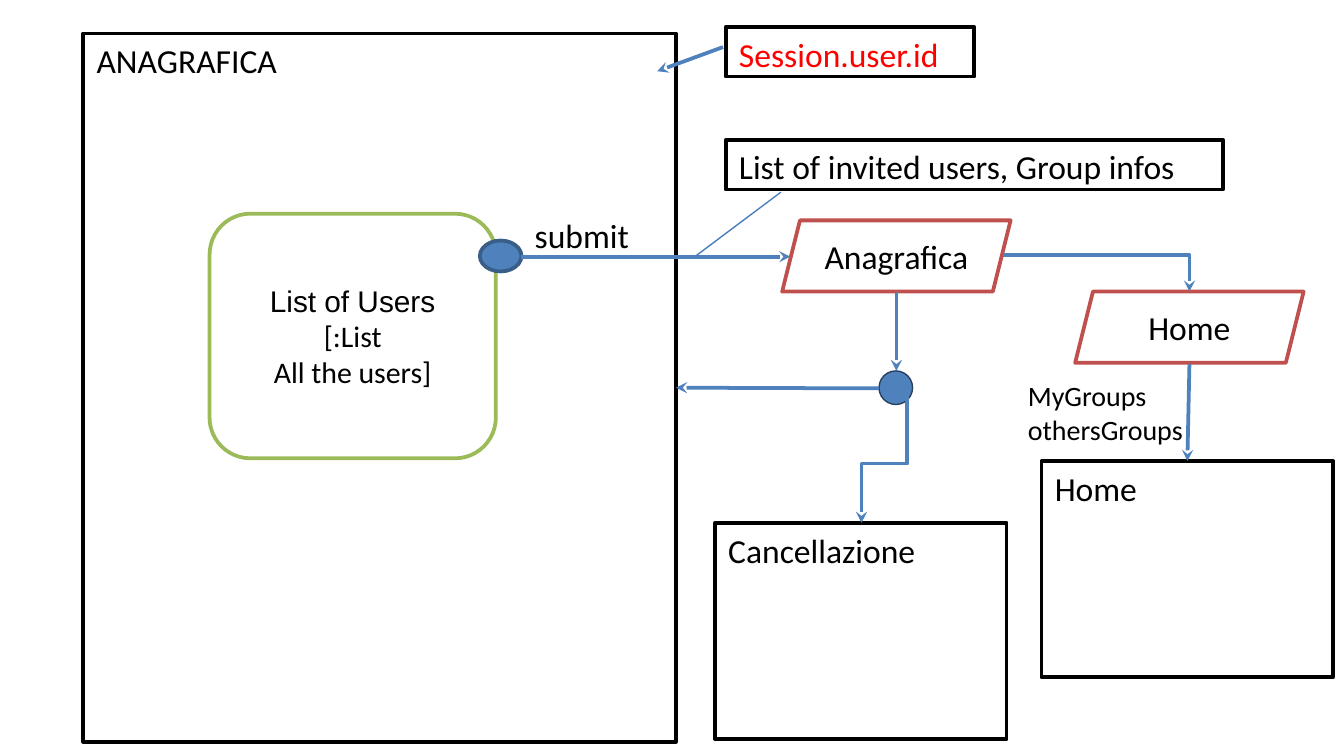
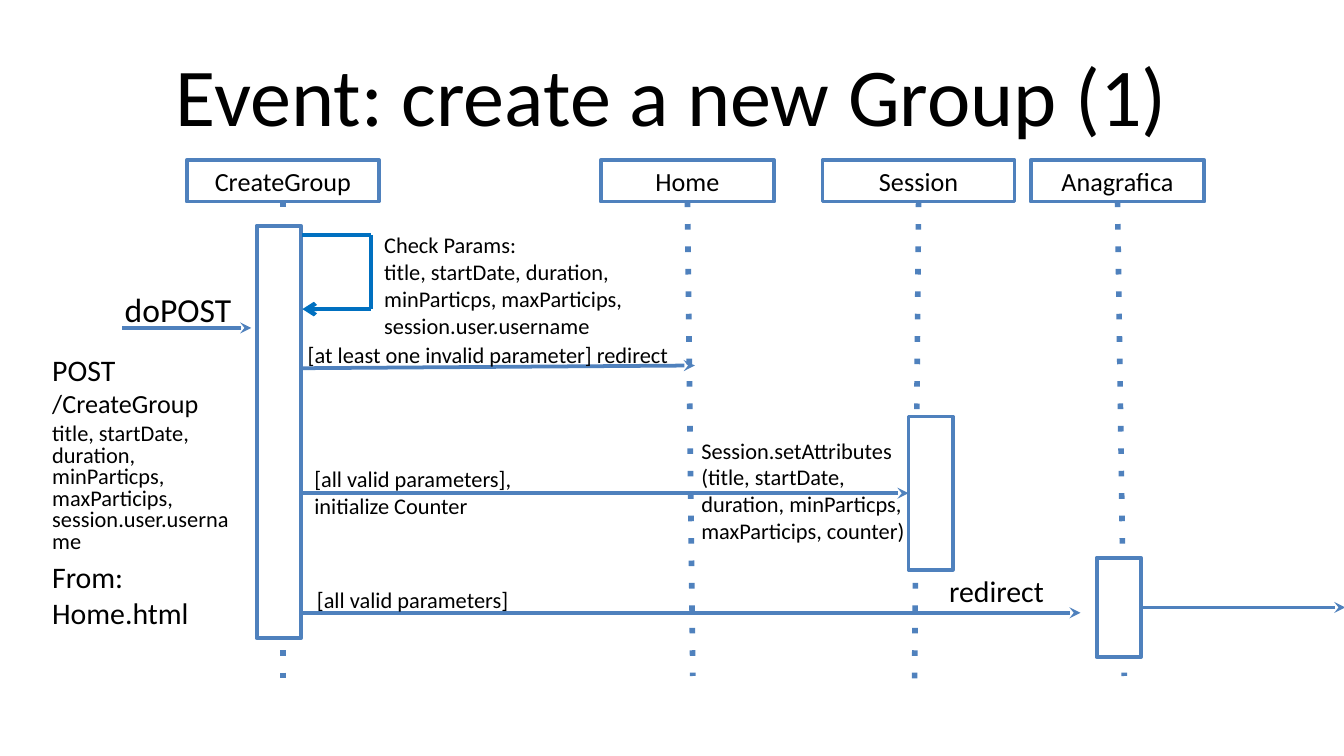
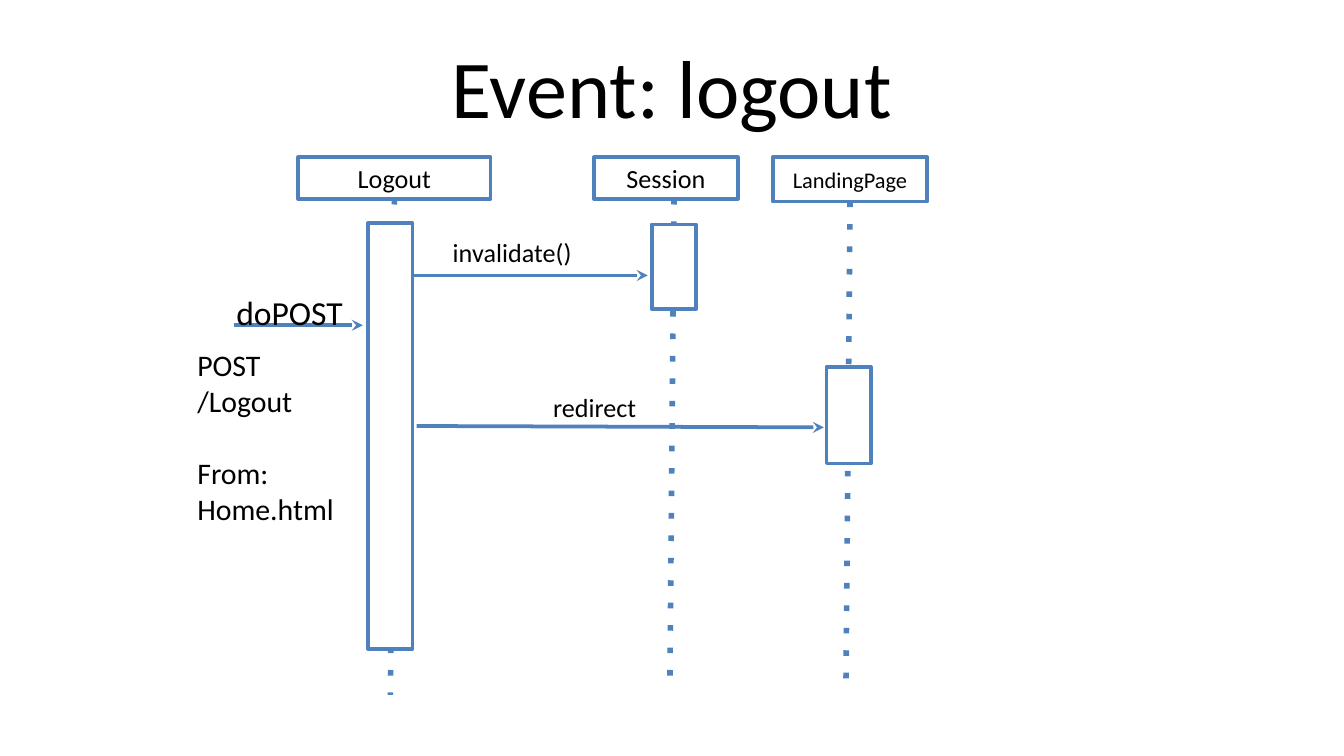
from lxml import etree
from pptx import Presentation
from pptx import util as u
from pptx.dml.color import RGBColor
from pptx.enum import shapes, text
from pptx.oxml.ns import qn

BLUE, NAVY, STEEL, SKY = "4F81BD", "395E89", "4A7DBA", "0070C0"
GREEN, RED, BLACK, WHITE = "9BBB59", "C0504D", "000000", "FFFFFF"
FONT = "Calibri"
BAR_W = 0.33
SHAPE = shapes.MSO_SHAPE
LINK = shapes.MSO_CONNECTOR
LEFT, CENTER = text.PP_ALIGN.LEFT, text.PP_ALIGN.CENTER
TOP, MIDDLE = text.MSO_ANCHOR.TOP, text.MSO_ANCHOR.MIDDLE
PARAMS = "title, startDate, duration, minParticps, maxParticips, session.user.username"


def rgb(value):
    return RGBColor.from_string(value)


def add_run(p, words, size, color=BLACK, font=FONT):
    r = p.add_run()
    r.text = words
    r.font.size = u.Pt(size)
    r.font.name = font
    r.font.color.rgb = rgb(color)


def write(tf, lines, size, color=BLACK, align=LEFT, anchor=TOP, inset=(0.1, 0.05)):
    tf.word_wrap = True
    tf.auto_size = text.MSO_AUTO_SIZE.NONE
    tf.vertical_anchor = anchor
    tf.margin_left = tf.margin_right = u.Inches(inset[0])
    tf.margin_top = tf.margin_bottom = u.Inches(inset[1])
    for i, line in enumerate(lines):
        p = tf.add_paragraph() if i else tf.paragraphs[0]
        p.alignment = align
        words, line_size = line if isinstance(line, tuple) else (line, size)
        add_run(p, words, line_size, color)


def add_text(slide, box, lines, size, **style):
    sp = slide.shapes.add_textbox(*map(u.Inches, box))
    write(sp.text_frame, lines, size, **style)
    return sp.text_frame


def add_box(slide, box, kind=SHAPE.RECTANGLE, fill=WHITE, line=BLUE, width=2):
    sp = slide.shapes.add_shape(kind, *map(u.Inches, box))
    sp.shadow.inherit = False
    sp.fill.solid()
    sp.fill.fore_color.rgb = rgb(fill)
    sp.line.color.rgb = rgb(line)
    sp.line.width = u.Pt(width)
    return sp


def add_line(slide, start, end, color=BLUE, width=2, head=None, dash=None,
             kind=LINK.STRAIGHT, begin=None, finish=None):
    cx = slide.shapes.add_connector(kind, *map(u.Inches, (*start, *end)))
    if begin:
        cx.begin_connect(*begin)
    if finish:
        cx.end_connect(*finish)
    cx.line.color.rgb = rgb(color)
    cx.line.width = u.Pt(width)
    ln = cx.line._get_or_add_ln()
    if dash:
        etree.SubElement(ln, qn("a:prstDash"), val=dash)
    if head:
        etree.SubElement(ln, qn("a:tailEnd"), type=head)
    etree.SubElement(cx._element.spPr, qn("a:effectLst"))
    return cx


def add_arrow(slide, start, end, **style):
    return add_line(slide, start, end, head="stealth", **style)


def arrow_right_then_down(slide, start, end):
    cx = add_arrow(slide, start, end, kind=LINK.ELBOW)
    cx._element.spPr.find(qn("a:prstGeom")).set("prst", "bentConnector2")


def arrow_down_left_down(slide, start, end, bend):
    across, down = start[0] - end[0], end[1] - start[1]
    mid_x, mid_y = (start[0] + end[0]) / 2, (start[1] + end[1]) / 2
    cx = add_arrow(slide, (mid_x - down / 2, mid_y - across / 2),
                   (mid_x + down / 2, mid_y + across / 2), kind=LINK.ELBOW)
    spPr = cx._element.spPr
    spPr.find(qn("a:xfrm")).set("rot", "5400000")
    guides = spPr.find(qn("a:prstGeom")).get_or_add_avLst()
    etree.SubElement(guides, qn("a:gd"), name="adj1", fmla=f"val {round(bend * 100000)}")


def add_title(slide, words, box):
    sp = slide.shapes.title
    sp.left, sp.top, sp.width, sp.height = map(u.Inches, box)
    write(sp.text_frame, [words], 44, align=CENTER, anchor=MIDDLE, inset=(0, 0))


def page(slide, box, name, color=BLACK):
    sp = add_box(slide, box, line=BLACK)
    write(sp.text_frame, [name], 18, color)
    return sp


def action(slide, left, top, name):
    sp = add_box(slide, (left, top, 1.7, 0.53), SHAPE.PARALLELOGRAM, line=RED)
    write(sp.text_frame, [name], 18, align=CENTER, anchor=MIDDLE)


def user_list(slide, box):
    left, top, width, _ = box
    sp = add_box(slide, box, SHAPE.ROUNDED_RECTANGLE, line=GREEN)
    write(sp.text_frame, [], 16, anchor=MIDDLE)
    p = sp.text_frame.paragraphs[0]
    p.alignment = CENTER
    add_run(p, "List of Users", 16, font="Arial")
    p.add_line_break()
    add_run(p, "[:List", 16)
    p = sp.text_frame.add_paragraph()
    p.alignment = CENTER
    add_run(p, "All the users]", 16)
    add_box(slide, (left + width - 0.12, top + 0.2, 0.31, 0.23), SHAPE.OVAL, BLUE, NAVY)


def participant(slide, box, name, foot, bar=None, size=14, shift=0):
    left, top, width, height = box
    head = add_box(slide, box)
    write(head.text_frame, [name], size, align=CENTER, anchor=MIDDLE)
    x, y = left + width / 2 + shift, top + height
    add_line(slide, (x, y), (x + foot[0], y + foot[1]), width=3, dash="dot",
             begin=None if shift else (head, 2))
    if bar:
        dx, dy, bar_height = bar
        return add_box(slide, (left + dx, top + dy, BAR_W, bar_height))


def request(slide, left, top, label_rise):
    add_arrow(slide, (left, top), (left + 0.96, top))
    add_text(slide, (left - 0.08, top - label_rise, 1, 0.3), ["doPOST"], 18)


def self_call(slide, left, top, width, height, lines):
    right, bottom = left + width, top + height
    add_line(slide, (left, top), (right, top), SKY, 2.25)
    add_line(slide, (right, top), (right, bottom), SKY, 2.25)
    add_line(slide, (right, bottom), (left, bottom), SKY, 2.25, head="arrow")
    tf = add_text(slide, (right, top - 0.08, 1.99, 0.77), [], 12)
    p = tf.paragraphs[0]
    add_run(p, lines[0], 12)
    p.add_line_break()
    add_run(p, lines[1], 12)


def navigation_slide(prs):
    slide = prs.slides.add_slide(prs.slide_layouts[6])
    registry = page(slide, (0.62, 0.25, 4.41, 5.27), "ANAGRAFICA")
    user_list(slide, (1.56, 1.59, 2.13, 1.82))
    add_arrow(slide, (3.88, 1.91), (5.88, 1.91))
    add_text(slide, (3.88, 1.55, 0.91, 0.3), ["submit"], 18)

    page(slide, (5.4, 1.04, 3.7, 0.37), "List of invited users, Group infos")
    add_line(slide, (5.81, 1.43), (5.17, 1.91), STEEL, 0.75)
    page(slide, (5.4, 0.2, 1.85, 0.37), "Session.user.id", "FF0000")
    add_arrow(slide, (5.38, 0.35), (4.89, 0.53))

    action(slide, 5.82, 1.64, "Anagrafica")
    add_arrow(slide, (6.67, 2.17), (6.67, 2.76))
    page(slide, (5.32, 3.89, 2.17, 1.61), "Cancellazione")
    add_box(slide, (6.54, 2.76, 0.25, 0.25), SHAPE.OVAL, BLUE, "254061", 0)
    add_arrow(slide, (6.54, 2.89), (5.03, 2.89), finish=(registry, 3))
    arrow_down_left_down(slide, (6.75, 2.89), (6.41, 3.89), 0.56)

    home = page(slide, (7.75, 3.43, 2.17, 1.61), "Home")
    action(slide, 8, 2.17, "Home")
    add_text(slide, (7.55, 2.77, 1.77, 0.7), ["MyGroups", "othersGroups"], 15)
    arrow_right_then_down(slide, (7.46, 1.9), (8.85, 2.17))
    add_arrow(slide, (8.85, 2.71), (8.84, 3.43), finish=(home, 0))


def create_group_slide(prs):
    slide = prs.slides.add_slide(prs.slide_layouts[5])
    add_title(slide, "Event: create a new Group (1)", (0.5, 0.23, 9, 0.93))
    top, height = 1.19, 0.31
    participant(slide, (1.39, top, 1.43, height), "CreateGroup", (0, 3.57), (0.52, 0.49, 3.07))
    session = participant(slide, (6.12, top, 1.43, height), "Session",
                          (-0.03, 3.57), (0.64, 1.91, 1.14))
    registry = participant(slide, (7.67, top, 1.29, height), "Anagrafica",
                           (0.05, 3.53), (0.49, 2.96, 0.74))
    participant(slide, (4.47, top, 1.29, height), "Home", (0.04, 3.53))

    request(slide, 0.91, 2.44, 0.34)
    tf = add_text(slide, (0.29, 2.57, 1.58, 2.49),
                  ["POST", ("/CreateGroup", 14), (PARAMS, 12), "From:", "Home.html"], 16)
    p = tf.paragraphs[2]
    p.line_spacing = 0.8
    p.space_before = p.space_after = u.Pt(2.8)

    self_call(slide, 2.25, 1.75, 0.51, 0.55, ("Check Params:", PARAMS))
    add_arrow(slide, (2.25, 2.74), (5.17, 2.72))
    add_arrow(slide, (2.24, 3.67), (6.76, 3.67), finish=(session, 1))
    add_arrow(slide, (2.24, 4.56), (8.04, 4.56))
    add_arrow(slide, (8.49, 4.52), (10.01, 4.52), begin=(registry, 3))
    add_text(slide, (2.29, 2.54, 3, 0.17), ["[at least one invalid parameter] redirect"], 12,
             inset=(0, 0))
    add_text(slide, (5.12, 3.2, 1.74, 1.1),
             ["Session.setAttributes",
              "(title, startDate, duration, minParticps, maxParticips, counter)"], 12)
    add_text(slide, (2.24, 3.41, 2.32, 0.43),
             ["[all valid parameters],", "initialize Counter"], 12)
    add_text(slide, (2.26, 4.31, 2.32, 0.27), ["[all valid parameters]"], 12)
    add_text(slide, (6.96, 4.21, 0.91, 0.27), ["redirect"], 16, align=CENTER)


def logout_slide(prs):
    slide = prs.slides.add_slide(prs.slide_layouts[5])
    add_title(slide, "Event: logout", (0.5, 0.23, 9, 0.82))
    top = 1.17
    participant(slide, (2.22, top, 1.43, 0.31), "Logout", (-0.03, 3.69), (0.52, 0.49, 3.17))
    participant(slide, (4.42, top, 1.07, 0.31), "Session", (-0.03, 3.57), (0.43, 0.5, 0.63),
                shift=0.06)
    participant(slide, (5.75, top, 1.15, 0.33), "LandingPage", (-0.03, 3.55),
                (0.4, 1.56, 0.72), size=12)

    request(slide, 1.74, 2.42, 0.3)
    tf = add_text(slide, (1.37, 2.53, 1.32, 2.3), ["POST", "/Logout", "From:", "Home.html"], 16)
    tf.paragraphs[2].space_before = u.Pt(19.5)

    add_arrow(slide, (3.07, 2.05), (4.82, 2.05))
    add_text(slide, (3.27, 1.71, 1.75, 0.25), ["invalidate()"], 14)
    add_arrow(slide, (3.1, 3.17), (6.13, 3.18))
    add_text(slide, (3.27, 2.86, 2.31, 0.27), ["redirect"], 14, align=CENTER)


def main():
    prs = Presentation()
    prs.slide_width = u.Inches(10)
    prs.slide_height = u.Inches(10 * 9 / 16)
    navigation_slide(prs)
    create_group_slide(prs)
    logout_slide(prs)
    prs.save("out.pptx")


if __name__ == "__main__":
    main()
